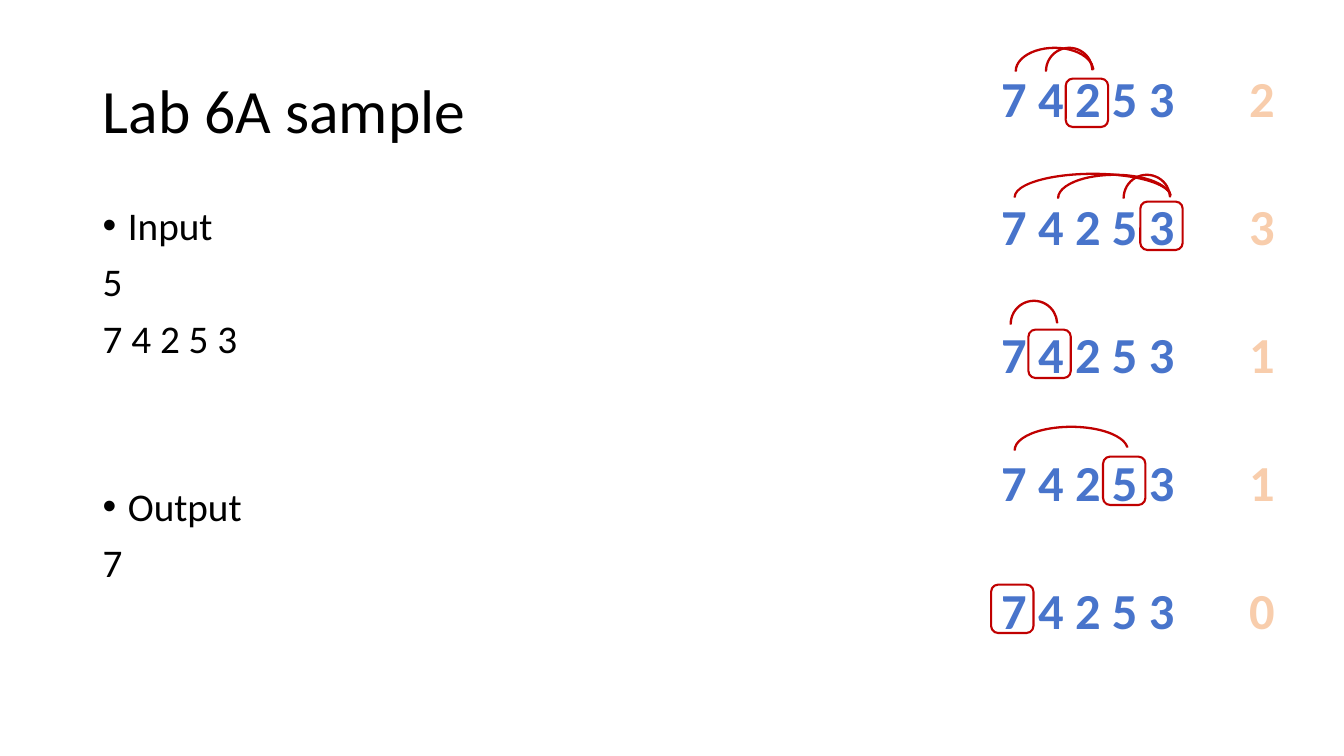
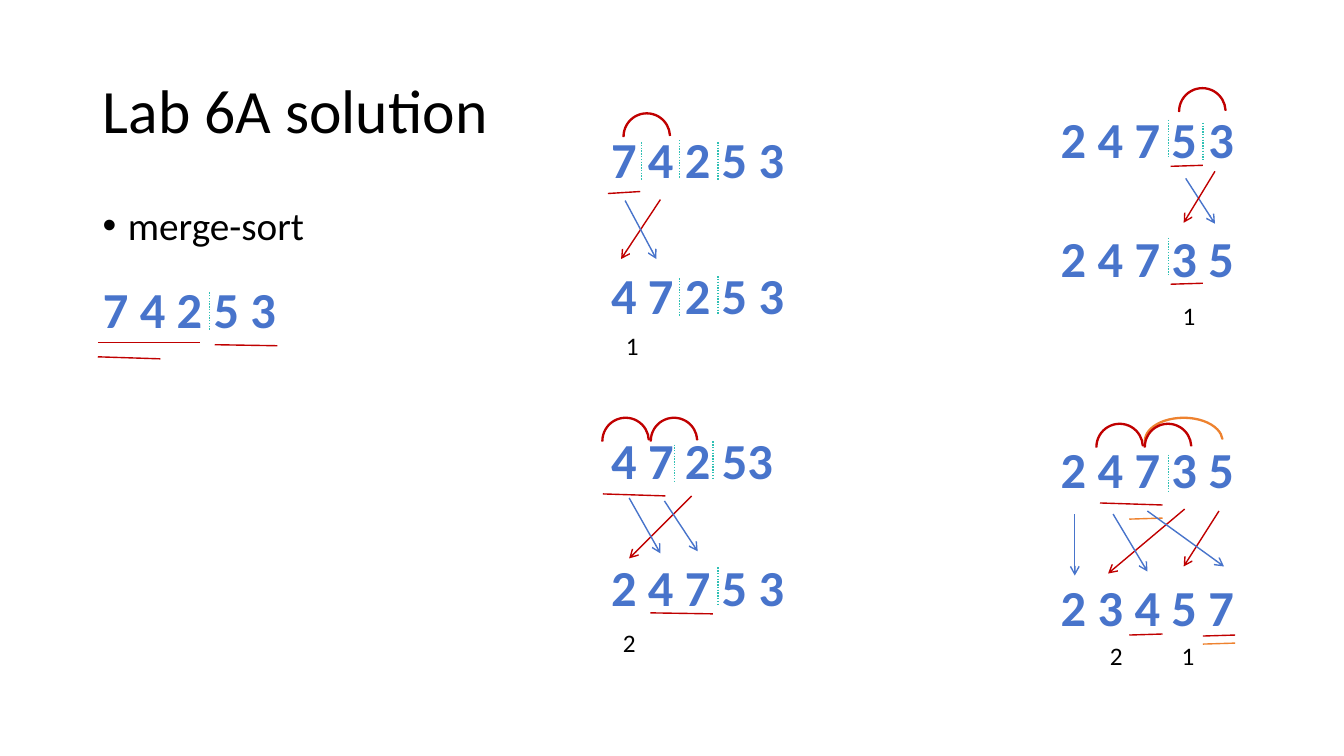
from dataclasses import dataclass
from typing import Any

from lxml import etree
from pptx import Presentation
from pptx.dml.color import RGBColor
from pptx.enum.dml import MSO_LINE
from pptx.enum.shapes import MSO_CONNECTOR, MSO_SHAPE
from pptx.enum.text import MSO_ANCHOR, MSO_AUTO_SIZE, PP_ALIGN
from pptx.oxml.ns import qn
from pptx.util import Inches, Pt

ARC, ROUND = MSO_SHAPE.BLOCK_ARC, MSO_SHAPE.ROUNDED_RECTANGLE
STRAIGHT, DOTS = MSO_CONNECTOR.STRAIGHT, MSO_LINE.ROUND_DOT
LEFT, CENTER = PP_ALIGN.LEFT, PP_ALIGN.CENTER
MIDDLE, GROW = MSO_ANCHOR.MIDDLE, MSO_AUTO_SIZE.SHAPE_TO_FIT_TEXT
TITLE_ONLY = 5


@dataclass(frozen=True)
class Theme:
    font: str = "Calibri"
    black: RGBColor = RGBColor(0x00, 0x00, 0x00)
    blue: RGBColor = RGBColor(0x48, 0x74, 0xCB)
    red: RGBColor = RGBColor(0xC0, 0x00, 0x00)
    peach: RGBColor = RGBColor(0xF8, 0xCD, 0xAC)
    orange: RGBColor = RGBColor(0xEE, 0x82, 0x2F)
    teal: RGBColor = RGBColor(0x30, 0xC0, 0xB4)
    title: int = 44
    digit: int = 36
    body: int = 28
    tally: int = 18
    thin: float = 1
    thick: float = 1.5


THEME = Theme()
BLUE, RED, ORANGE = THEME.blue, THEME.red, THEME.orange
MARGIN = 0.92
ROW_W, ROW_H = 1.92, 0.71
ARC_SIZE = 0.47
DOT_H = 0.38


@dataclass(frozen=True)
class Row:
    text: str
    x: float
    y: float
    width: float = ROW_W


@dataclass(frozen=True)
class Arc:
    x: float
    y: float
    width: float = ARC_SIZE
    color: RGBColor = RED


@dataclass(frozen=True)
class Stroke:
    x1: float
    y1: float
    x2: float
    y2: float
    color: RGBColor = RED


@dataclass(frozen=True)
class Turn:
    """One number of the sample: its box, its arcs and its count."""
    slot: int
    box_y: float
    arcs: tuple[Arc, ...]
    count: str


@dataclass(frozen=True)
class Step:
    """One merge: rows of digits with their arcs, cuts, underlines and moves."""
    rows: tuple[Row, ...]
    arcs: tuple[Arc, ...] = ()
    cuts: tuple[tuple[float, float], ...] = ()
    lines: tuple[Stroke, ...] = ()
    moves: tuple[Stroke, ...] = ()


@dataclass(frozen=True)
class Item:
    text: str
    bullet: bool = False
    before: float = 10


TURNS = (
    Turn(2, 0.78, (Arc(10.37, 0.47), Arc(10.07, 0.47, 0.78)), "2"),
    Turn(4, 2, (Arc(11.14, 1.73), Arc(10.49, 1.73, 1.13),
                Arc(10.06, 1.72, 1.56)), "3"),
    Turn(1, 3.27, (Arc(10.02, 2.98),), "1"),
    Turn(3, 4.53, (Arc(10.06, 4.23, 1.13),), "1"),
    Turn(0, 5.8, (), "0"),
)

STEPS = (
    Step(
        rows=(Row("7 4 2 5 3", MARGIN, 2.71),),
        cuts=((2.08, 2.9),),
        lines=(Stroke(0.97, 3.4, 1.98, 3.4), Stroke(2.13, 3.42, 2.75, 3.43),
               Stroke(0.97, 3.54, 1.59, 3.56)),
    ),
    Step(
        rows=(Row("7 4 2 5 3", 5.96, 1.22), Row("4 7 2 5 3", 5.96, 2.57)),
        arcs=(Arc(6.18, 1.12),),
        cuts=((7.12, 1.41), (6.74, 1.39), (6.36, 1.41),
              (7.12, 2.74), (6.74, 2.76)),
        lines=(Stroke(6.03, 1.92, 6.35, 1.9),),
        moves=(Stroke(6.55, 1.98, 6.16, 2.57),
               Stroke(6.2, 1.99, 6.51, 2.57, BLUE)),
    ),
    Step(
        rows=(Row("4 7 2 53", 5.96, 4.21, 1.81), Row("2 4 7 5 3", 5.96, 5.47)),
        arcs=(Arc(6.45, 4.14), Arc(5.97, 4.14)),
        cuts=((7.07, 4.38), (6.69, 4.41), (7.12, 5.63)),
        lines=(Stroke(5.98, 4.9, 6.6, 4.92), Stroke(6.45, 6.08, 7.07, 6.09)),
        moves=(Stroke(6.86, 4.92, 6.24, 5.54),
               Stroke(6.24, 4.94, 6.55, 5.49, BLUE),
               Stroke(6.59, 4.97, 6.92, 5.47, BLUE)),
    ),
    Step(
        rows=(Row("2 4 7 5 3", 10.42, 1.02), Row("2 4 7 3 5", 10.42, 2.2)),
        arcs=(Arc(11.69, 0.87),),
        cuts=((11.59, 1.19), (11.93, 1.22), (11.59, 2.36)),
        lines=(Stroke(11.61, 1.65, 11.93, 1.64),
               Stroke(11.61, 2.82, 11.93, 2.81)),
        moves=(Stroke(11.76, 1.77, 12.05, 2.22, BLUE),
               Stroke(12.05, 1.7, 11.74, 2.21)),
    ),
    Step(
        rows=(Row("2 4 7 3 5", 10.42, 4.3), Row("2 3 4 5 7", 10.42, 5.67)),
        arcs=(Arc(11.35, 4.14, 0.78, ORANGE), Arc(11.35, 4.2), Arc(10.87, 4.2)),
        cuts=((11.59, 4.51),),
        lines=(Stroke(10.91, 4.99, 11.53, 5.01),
               Stroke(11.2, 5.15, 11.53, 5.14, ORANGE),
               Stroke(11.2, 6.3, 11.53, 6.29),
               Stroke(11.93, 6.31, 12.25, 6.3),
               Stroke(11.93, 6.39, 12.25, 6.38, ORANGE)),
        moves=(Stroke(10.66, 5.1, 10.66, 5.71, BLUE),
               Stroke(11.75, 5.05, 10.99, 5.69),
               Stroke(11.04, 5.1, 11.38, 5.67, BLUE),
               Stroke(12.09, 5.07, 11.74, 5.62),
               Stroke(11.38, 5.07, 12.14, 5.62, BLUE)),
    ),
)

TALLIES = (("1", 6.11, 3.23), ("2", 6.08, 6.17), ("1", 11.63, 2.93),
           ("2", 10.91, 6.3), ("1", 11.62, 6.3))


def style(para: Any, size: int, color: RGBColor, bold: bool = False) -> None:
    para.font.name = THEME.font
    para.font.size = Pt(size)
    para.font.bold = bold
    para.font.color.rgb = color


def add_slide(deck: Any, title: str, width: float) -> Any:
    slide = deck.slides.add_slide(deck.slide_layouts[TITLE_ONLY])
    head = slide.shapes.title
    head.left, head.top = Inches(MARGIN), Inches(0.4)
    head.width, head.height = Inches(width), Inches(1.45)
    frame = head.text_frame
    frame.text = title
    frame.vertical_anchor = MIDDLE
    para = frame.paragraphs[0]
    para.alignment, para.line_spacing = LEFT, 0.9
    style(para, THEME.title, THEME.black)
    return slide


def add_list(shapes: Any, items: tuple[Item, ...], width: float,
             height: float) -> None:
    box = shapes.add_textbox(Inches(MARGIN), Inches(2), Inches(width),
                             Inches(height))
    frame = box.text_frame
    frame.word_wrap = True
    for i, item in enumerate(items):
        para = frame.paragraphs[0] if i == 0 else frame.add_paragraph()
        para.text = item.text
        para.line_spacing = 0.9
        if i:
            para.space_before = Pt(item.before)
        if item.bullet:
            props = para._p.get_or_add_pPr()
            props.set("marL", str(Inches(0.25)))
            props.set("indent", str(Inches(-0.25)))
            etree.SubElement(props, qn("a:buFont")).set("typeface", "Arial")
            etree.SubElement(props, qn("a:buChar")).set("char", "•")
        style(para, THEME.body, THEME.black)


def add_digits(shapes: Any, row: Row, color: RGBColor = BLUE) -> None:
    box = shapes.add_textbox(Inches(row.x), Inches(row.y), Inches(row.width),
                             Inches(ROW_H))
    frame = box.text_frame
    frame.word_wrap, frame.auto_size = False, GROW
    para = frame.paragraphs[0]
    para.text, para.alignment = row.text, CENTER
    style(para, THEME.digit, color, True)


def add_tally(shapes: Any, text: str, x: float, y: float) -> None:
    box = shapes.add_textbox(Inches(x), Inches(y), Inches(0.25), Inches(0.4))
    box.text_frame.word_wrap = True
    para = box.text_frame.paragraphs[0]
    para.text = text
    style(para, THEME.tally, THEME.black)


def add_arc(shapes: Any, arc: Arc) -> None:
    shape = shapes.add_shape(ARC, Inches(arc.x), Inches(arc.y),
                             Inches(arc.width), Inches(ARC_SIZE))
    for i, value in enumerate((108, 214.17, 0.02)):
        shape.adjustments[i] = value
    shape.shadow.inherit = False
    shape.fill.solid()
    shape.fill.fore_color.rgb = BLUE
    shape.line.color.rgb = arc.color
    shape.line.width = Pt(THEME.thin)


def add_box(shapes: Any, x: float, y: float) -> None:
    shape = shapes.add_shape(ROUND, Inches(x), Inches(y), Inches(0.42),
                             Inches(0.48))
    shape.shadow.inherit = False
    shape.fill.background()
    shape.line.color.rgb = RED
    shape.line.width = Pt(THEME.thick)


def add_line(shapes: Any, stroke: Stroke, arrow: bool = False,
             dotted: bool = False) -> None:
    line = shapes.add_connector(STRAIGHT, Inches(stroke.x1), Inches(stroke.y1),
                                Inches(stroke.x2), Inches(stroke.y2))
    line.line.color.rgb = stroke.color
    line.line.width = Pt(THEME.thin)
    if dotted:
        line.line.dash_style = DOTS
    props = line._element.spPr
    if arrow:
        tail = etree.SubElement(props.find(qn("a:ln")), qn("a:tailEnd"))
        tail.set("type", "arrow")
    etree.SubElement(props, qn("a:effectLst"))


def add_step(shapes: Any, step: Step) -> None:
    group = shapes.add_group_shape().shapes
    for row in step.rows:
        add_digits(group, row)
    for arc in step.arcs:
        add_arc(group, arc)
    for x, y in step.cuts:
        add_line(group, Stroke(x, y, x, y + DOT_H, THEME.teal), dotted=True)
    for line in step.lines:
        add_line(group, line)
    for move in step.moves:
        add_line(group, move, arrow=True)


def draw_sample(deck: Any) -> None:
    shapes = add_slide(deck, "Lab 6A sample", 11.5).shapes
    add_list(shapes, (Item("Input", True), Item("5"), Item("7 4 2 5 3"),
                      Item("Output", True, 90), Item("7")), 1.66, 4.76)
    left, pitch = 9.83, 0.37
    for i, turn in enumerate(TURNS):
        top = 0.62 + 1.27 * i
        add_digits(shapes, Row("7 4 2 5 3", left, top))
        add_box(shapes, left + pitch * turn.slot, turn.box_y)
        for arc in turn.arcs:
            add_arc(shapes, arc)
        add_digits(shapes, Row(turn.count, 12.29, top, 0.45), THEME.peach)


def draw_merge(deck: Any) -> None:
    shapes = add_slide(deck, "Lab 6A solution", 4.59).shapes
    add_list(shapes, (Item("merge-sort", True),), 2.98, 0.57)
    for step in STEPS:
        add_step(shapes, step)
    for text, x, y in TALLIES:
        add_tally(shapes, text, x, y)


def main() -> None:
    deck = Presentation()
    deck.slide_width, deck.slide_height = Inches(13.33), Inches(7.5)
    draw_sample(deck)
    draw_merge(deck)
    deck.save("out.pptx")


if __name__ == "__main__":
    main()
